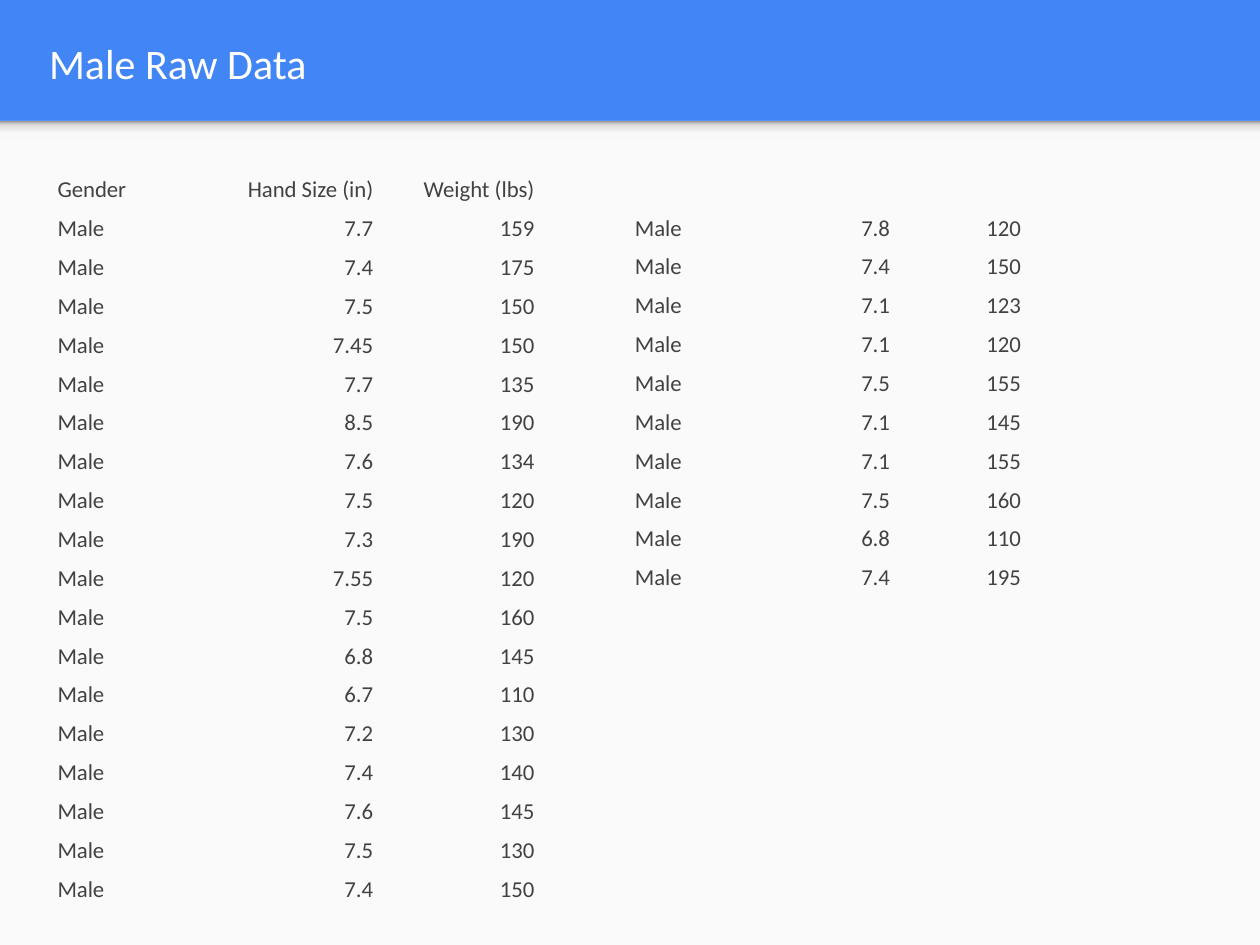
from lxml import etree
from pptx import Presentation
from pptx import util as u
from pptx.dml import color as dml
from pptx.enum import shapes, text
from pptx.oxml import ns

NO_GRID_STYLE = "{2D5ABB26-0587-4C30-8999-92F81FD0307C}"
SLIDE_WIDTH, SLIDE_HEIGHT = 25.4, 19.05
HEADER_HEIGHT = 2.44

HEADINGS = ("Gender", "Hand Size (in)", "Weight (lbs)")
LEFT_DATA = [
    ("7.7", "159"), ("7.4", "175"), ("7.5", "150"), ("7.45", "150"),
    ("7.7", "135"), ("8.5", "190"), ("7.6", "134"), ("7.5", "120"),
    ("7.3", "190"), ("7.55", "120"), ("7.5", "160"), ("6.8", "145"),
    ("6.7", "110"), ("7.2", "130"), ("7.4", "140"), ("7.6", "145"),
    ("7.5", "130"), ("7.4", "150"),
]
RIGHT_DATA = [
    ("7.8", "120"), ("7.4", "150"), ("7.1", "123"), ("7.1", "120"),
    ("7.5", "155"), ("7.1", "145"), ("7.1", "155"), ("7.5", "160"),
    ("6.8", "110"), ("7.4", "195"),
]


def rgb(value):
    return dml.RGBColor.from_string(value)


def write(frame, content, font="Calibri", size=13, color="424242",
          align=text.PP_ALIGN.LEFT, spacing=1.0):
    paragraph = frame.paragraphs[0]
    paragraph.alignment = align
    paragraph.line_spacing = spacing
    run = paragraph.add_run()
    run.text = content
    run.font.name = font
    run.font.size = u.Pt(size)
    run.font.color.rgb = rgb(color)


def male_rows(data):
    return [("Male", *values) for values in data]


class SlideBuilder:
    accent = "4285F4"
    paper = "FAFAFA"
    row_height = 0.74
    cell_margin = 0.07

    def __init__(self, presentation):
        self.slide = presentation.slides.add_slide(presentation.slide_layouts[5])
        background = self.slide.background.fill
        background.solid()
        background.fore_color.rgb = rgb(self.accent)

    def rectangle(self, left, top, width, height):
        shape = self.slide.shapes.add_shape(
            shapes.MSO_SHAPE.RECTANGLE,
            u.Cm(left), u.Cm(top), u.Cm(width), u.Cm(height))
        shape.shadow.inherit = False
        shape.line.fill.background()
        return shape

    def panel(self, *box):
        fill = self.rectangle(*box).fill
        fill.solid()
        fill.fore_color.rgb = rgb(self.paper)

    def gradient_band(self, *box, stops):
        """Add a band whose (percent, colour) stops run from bottom to top."""
        shape = self.rectangle(*box)
        shape.fill.gradient()
        shape.fill.gradient_angle = 90
        stop_list = shape._element.spPr.find(".//" + ns.qn("a:gsLst"))
        for stop in list(stop_list):
            stop_list.remove(stop)
        for percent, color in stops:
            stop = etree.SubElement(stop_list, ns.qn("a:gs"), pos=str(percent * 1000))
            etree.SubElement(stop, ns.qn("a:srgbClr"), val=color)

    def title(self, content, left, top, width, height):
        shape = self.slide.shapes.title
        shape.left, shape.top = u.Cm(left), u.Cm(top)
        shape.width, shape.height = u.Cm(width), u.Cm(height)
        frame = shape.text_frame
        frame.margin_left = frame.margin_right = u.Cm(0.25)
        frame.margin_top = frame.margin_bottom = u.Cm(0.25)
        frame.vertical_anchor = text.MSO_ANCHOR.MIDDLE
        write(frame, content, size=24, color="FFFFFF")

    def table(self, rows, left, top, column_width):
        columns = len(rows[0])
        table = self.slide.shapes.add_table(
            len(rows), columns, u.Cm(left), u.Cm(top),
            u.Cm(column_width * columns), u.Cm(self.row_height * len(rows))).table
        table.first_row = table.horz_banding = False
        table._tbl.tblPr.find(ns.qn("a:tableStyleId")).text = NO_GRID_STYLE
        for row_index, row in enumerate(rows):
            for column_index, content in enumerate(row):
                self.cell(table.cell(row_index, column_index), content,
                          text.PP_ALIGN.RIGHT if column_index else text.PP_ALIGN.LEFT)

    def cell(self, cell, content, align):
        cell.fill.background()
        cell.vertical_anchor = text.MSO_ANCHOR.BOTTOM
        cell.margin_left = cell.margin_right = u.Cm(self.cell_margin)
        cell.margin_top = cell.margin_bottom = u.Cm(self.cell_margin)
        write(cell.text_frame, content, align=align, spacing=1.15)


def main():
    presentation = Presentation()
    presentation.slide_width = u.Cm(SLIDE_WIDTH)
    presentation.slide_height = u.Cm(SLIDE_HEIGHT)

    builder = SlideBuilder(presentation)
    builder.panel(0, HEADER_HEIGHT, SLIDE_WIDTH, SLIDE_HEIGHT - HEADER_HEIGHT)
    builder.gradient_band(
        0, HEADER_HEIGHT, SLIDE_WIDTH, 0.4,
        stops=[(0, "F9F9F9"), (36, "F9F9F9"), (80, "DEDEDE"), (100, "999999")])
    builder.table([HEADINGS] + male_rows(LEFT_DATA), 1.09, 3.4, 3.25)
    builder.table(male_rows(RIGHT_DATA), 12.73, 4.17, 2.64)
    builder.title("Male Raw Data", 0.74, 0.05, 24.05, HEADER_HEIGHT)
    presentation.save("out.pptx")


if __name__ == "__main__":
    main()
